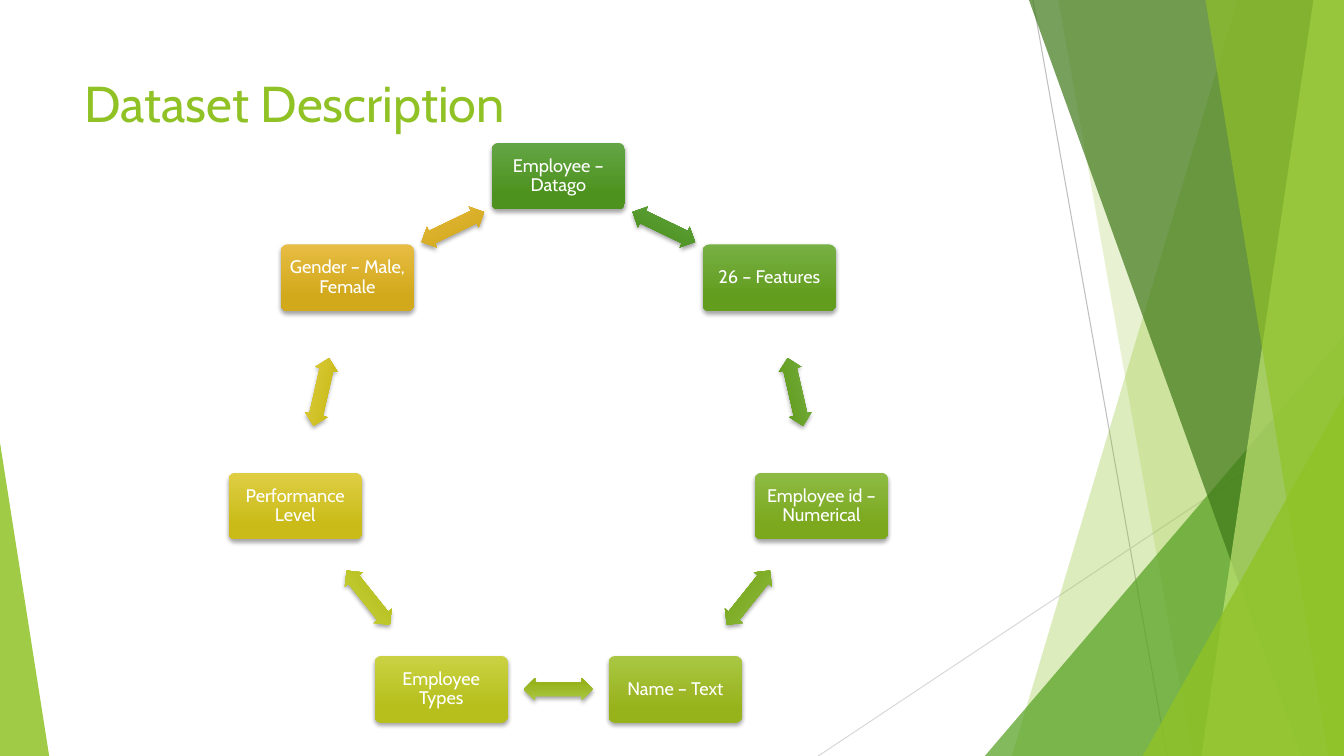
import math

import pptx
import pptx.dml.color
import pptx.enum.shapes
import pptx.enum.text
import pptx.oxml
import pptx.oxml.ns
import pptx.util
from pptx.util import Cm, Pt

SHAPES = pptx.enum.shapes.MSO_SHAPE
FONT = "Cabin"
GREEN = "90C226"
WIDTH, HEIGHT = 33.87, 19.05  # centimetres, like all lengths below

TITLE = "Dataset Description"
# Clockwise from the top: text, gradient start, gradient end
STEPS = [
    ("Employee – Datago", "63A545", "4D921E"),
    ("26 – Features", "77B044", "629D1E"),
    ("Employee id – Numerical", "8EBB44", "7BA81D"),
    ("Name – Text", "AAC744", "97B31C"),
    ("Employee Types", "CAD243", "B6BF1B"),
    ("Performance Level", "DFCE43", "CABB19"),
    ("Gender – Male, Female", "E7BC43", "D2A91B"),
]
RING_X, RING_Y, RING_RADIUS = 14.07, 11.24, 6.8
BOX_SIZE = (3.36, 1.68)
ARROW_SIZE = (1.75, 0.58)

# Start, end, colour
RULES = [
    ((26.03, 0), (29.41, HEIGHT), "BFBFBF"),
    ((WIDTH, 10.24), (20.62, HEIGHT), "D9D9D9"),
]
# Back to front. A band has its left edge at the top and at the bottom;
# a triangle has width, height and the side where its apex stands.
FACETS = [
    ("band", (31.19, 25.5), GREEN, 30),
    ("band", (26.67, 30.05), GREEN, 20),
    ("triangle", (9.05, 10.59, "right"), "54A021", 72),
    ("band", (25.93, 32.79), "3F7819", 70),
    ("band", (33.1, 30.28), "C0E474", 70),
    ("band", (30.38, 33.48), GREEN, 65),
    ("triangle", (5.07, 9.07, "right"), GREEN, 80),
    ("triangle", (1.24, 7.9, "left"), GREEN, 85),
]


def rgb(value):
    return pptx.dml.color.RGBColor.from_string(value)


def add_rule(slide, start, end, color):
    points = [Cm(value) for value in start + end]
    rule = slide.shapes.add_connector(pptx.enum.shapes.MSO_CONNECTOR.STRAIGHT, *points)
    rule.line.color.rgb = rgb(color)
    rule.line.width = Pt(0.75)
    pptx.oxml.ns  # namespace helpers
    rule.element.spPr.append(pptx.oxml.parse_xml(
        f'<a:effectLst {pptx.oxml.ns.nsdecls("a")}/>'))


def add_facet(slide, kind, geometry, color, opacity):
    if kind == "band":
        top_x, bottom_x = geometry
        builder = slide.shapes.build_freeform(Cm(top_x), 0)
        corners = [(WIDTH, 0), (WIDTH, HEIGHT), (bottom_x, HEIGHT)]
        builder.add_line_segments([(Cm(x), Cm(y)) for x, y in corners])
        facet = builder.convert_to_shape()
    else:
        width, height, side = geometry
        left = WIDTH - width if side == "right" else 0
        facet = slide.shapes.add_shape(
            SHAPES.ISOSCELES_TRIANGLE,
            Cm(left), Cm(HEIGHT - height), Cm(width), Cm(height))
        facet.adjustments[0] = 1 if side == "right" else 0
    facet.fill.solid()
    facet.fill.fore_color.rgb = rgb(color)
    fill_color = facet.element.spPr.find(".//" + pptx.oxml.ns.qn("a:srgbClr"))
    fill_color.append(pptx.oxml.parse_xml(
        f'<a:alpha {pptx.oxml.ns.nsdecls("a")} val="{opacity * 1000}"/>'))
    facet.line.fill.background()
    facet.shadow.inherit = False


def add_ring_shape(slide, preset, size, radius, angle, colors):
    """Centre a shaded shape on the ring, at an angle clockwise from the top."""
    width, height = size
    x = RING_X + radius * math.sin(math.radians(angle))
    y = RING_Y - radius * math.cos(math.radians(angle))
    shape = slide.shapes.add_shape(
        preset, Cm(x - width / 2), Cm(y - height / 2), Cm(width), Cm(height))
    shape.fill.gradient()
    shape.fill.gradient_angle = 270
    for stop, color, position in zip(shape.fill.gradient_stops, colors, (0, 0.78)):
        stop.color.rgb = rgb(color)
        stop.position = position
    shape.line.fill.background()
    shape.shadow.inherit = False
    effects = shape.element.spPr.find(pptx.oxml.ns.qn("a:effectLst"))
    effects.append(pptx.oxml.parse_xml(
        f'<a:outerShdw {pptx.oxml.ns.nsdecls("a")} blurRad="{Pt(3)}" dist="{Pt(2)}"'
        ' dir="5400000" rotWithShape="0">'
        '<a:srgbClr val="000000"><a:alpha val="35000"/></a:srgbClr></a:outerShdw>'))
    return shape


def write_label(box, text):
    frame = box.text_frame
    frame.text = text
    frame.word_wrap = True
    frame.vertical_anchor = pptx.enum.text.MSO_ANCHOR.MIDDLE
    frame.margin_left = frame.margin_right = Cm(0.13)
    frame.margin_top = frame.margin_bottom = Cm(0.13)
    paragraph = frame.paragraphs[0]
    paragraph.alignment = pptx.enum.text.PP_ALIGN.CENTER
    paragraph.line_spacing = 0.9
    paragraph.font.name = FONT
    paragraph.font.size = Pt(13)
    paragraph.font.color.rgb = rgb("FFFFFF")


def add_title(slide):
    title = slide.shapes.title
    title.left, title.top, title.width, title.height = (
        Cm(1.88), Cm(1.7), Cm(23.88), Cm(3.66))
    title.text_frame.text = TITLE
    title.text_frame.vertical_anchor = pptx.enum.text.MSO_ANCHOR.TOP
    paragraph = title.text_frame.paragraphs[0]
    paragraph.alignment = pptx.enum.text.PP_ALIGN.LEFT
    paragraph.font.name = FONT
    paragraph.font.size = Pt(36)
    paragraph.font.color.rgb = rgb(GREEN)


def add_cycle(slide):
    step_angle = 360 / len(STEPS)
    arrow_radius = RING_RADIUS * math.cos(math.radians(step_angle / 2))
    for index, (text, *colors) in enumerate(STEPS):
        angle = index * step_angle
        box = add_ring_shape(
            slide, SHAPES.ROUNDED_RECTANGLE, BOX_SIZE, RING_RADIUS, angle, colors)
        box.adjustments[0] = 0.1
        write_label(box, text)

        arrow_angle = angle + step_angle / 2
        arrow = add_ring_shape(
            slide, SHAPES.LEFT_RIGHT_ARROW, ARROW_SIZE, arrow_radius, arrow_angle, colors)
        arrow.adjustments[0] = 0.6
        arrow.adjustments[1] = 0.5
        arrow.rotation = arrow_angle


def main():
    presentation = pptx.Presentation()
    presentation.slide_width = Cm(WIDTH)
    presentation.slide_height = Cm(HEIGHT)
    slide = presentation.slides.add_slide(presentation.slide_layouts[5])
    for rule in RULES:
        add_rule(slide, *rule)
    for facet in FACETS:
        add_facet(slide, *facet)
    add_title(slide)
    add_cycle(slide)
    presentation.save("out.pptx")


if __name__ == "__main__":
    main()
